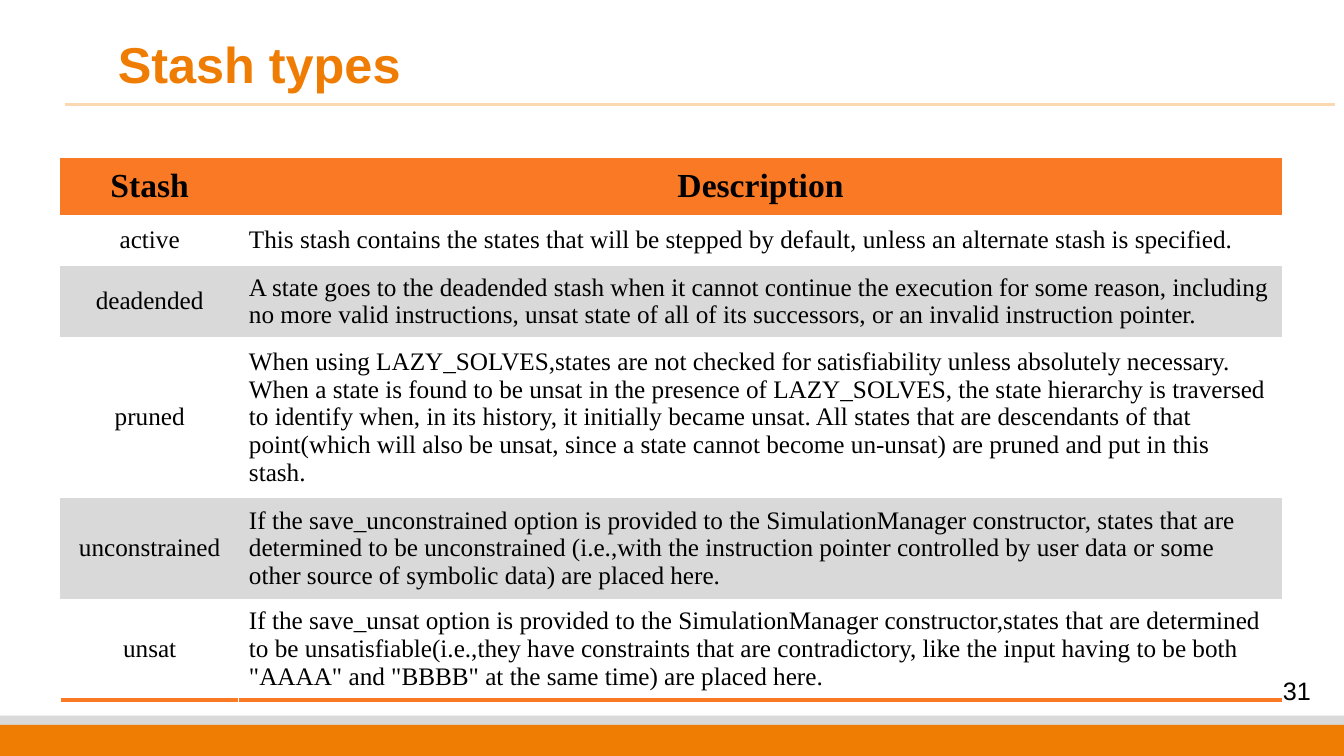
from lxml.etree import SubElement
from pptx import Presentation
from pptx.dml.color import RGBColor
from pptx.enum.shapes import MSO_CONNECTOR, MSO_SHAPE
from pptx.enum.text import MSO_ANCHOR, PP_ALIGN
from pptx.oxml import parse_xml
from pptx.oxml.ns import nsdecls, qn
from pptx.util import Inches, Pt

COLORS = {
    "orange": "EF7D03",
    "pale orange": "FAD8B2",
    "header": "FA7925",
    "gray": "D9D9D9",
    "white": "FFFFFF",
    "black": "000000",
}
COLUMNS, ROWS = 133.33, 75
NO_TABLE_STYLE = "{2D5ABB26-0587-4C30-8999-92F81FD0307C}"

STASHES = [
    ("Stash", "Description"),
    ("active", "This stash contains the states that will be stepped by default, "
     "unless an alternate stash is specified."),
    ("deadended", "A state goes to the deadended stash when it cannot continue the "
     "execution for some reason, including no more valid instructions, unsat state of "
     "all of its successors, or an invalid instruction pointer."),
    ("pruned", "When using LAZY_SOLVES,states are not checked for satisfiability unless "
     "absolutely necessary. When a state is found to be unsat in the presence of "
     "LAZY_SOLVES, the state hierarchy is traversed to identify when, in its history, it "
     "initially became unsat. All states that are descendants of that point(which will "
     "also be unsat, since a state cannot become un-unsat) are pruned and put in this "
     "stash."),
    ("unconstrained", "If the save_unconstrained option is provided to the "
     "SimulationManager constructor, states that are determined to be unconstrained "
     "(i.e.,with the instruction pointer controlled by user data or some other source of "
     "symbolic data) are placed here."),
    ("unsat", "If the save_unsat option is provided to the SimulationManager "
     "constructor,states that are determined to be unsatisfiable(i.e.,they have "
     "constraints that are contradictory, like the input having to be both \"AAAA\" and "
     "\"BBBB\" at the same time) are placed here."),
]


class SlideBuilder:
    """Draws on one slide; lengths are columns and rows of its grid."""

    def __init__(self, presentation):
        self.column = presentation.slide_width / COLUMNS
        self.row = presentation.slide_height / ROWS
        self.slide = presentation.slides.add_slide(presentation.slide_layouts[6])
        self.shapes = self.slide.shapes

    def place(self, left, top, width, height):
        """Turn grid lengths into slide units."""
        return (round(left * self.column), round(top * self.row),
                round(width * self.column), round(height * self.row))

    def color(self, name):
        return RGBColor.from_string(COLORS[name])

    def style(self, paragraph, font, size, color, bold=False, align=PP_ALIGN.LEFT):
        paragraph.alignment = align
        paragraph.font.name = font
        paragraph.font.size = Pt(size)
        paragraph.font.bold = bold
        paragraph.font.color.rgb = self.color(color)

    def band(self, top, height, color):
        """Draw a full-width bar."""
        shape = self.shapes.add_shape(
            MSO_SHAPE.RECTANGLE, *self.place(0, top, COLUMNS, height))
        shape.shadow.inherit = False
        shape.fill.solid()
        shape.fill.fore_color.rgb = self.color(color)
        shape.line.fill.background()

    def rule(self, left, right, top, color, width):
        """Draw a horizontal line."""
        ends = self.place(left, top, right, top)
        connector = self.shapes.add_connector(MSO_CONNECTOR.STRAIGHT, *ends)
        connector.line.color.rgb = self.color(color)
        connector.line.width = Pt(width)
        SubElement(connector.element.spPr, qn("a:effectLst"))

    def text(self, words, box, size, color, anchor=MSO_ANCHOR.TOP, spacing=1.0, **look):
        frame = self.shapes.add_textbox(*self.place(*box)).text_frame
        frame.word_wrap = True
        frame.vertical_anchor = anchor
        paragraph = frame.paragraphs[0]
        paragraph.text = words
        paragraph.line_spacing = spacing
        self.style(paragraph, "Arial", size, color, **look)

    def border(self, cell, sides):
        """Add borders given as (side, color, points), in the order L, R, T, B."""
        properties = cell._tc.get_or_add_tcPr()
        for index, (side, color, points) in enumerate(sides):
            properties.insert(index, parse_xml(
                f'<a:ln{side} {nsdecls("a")} w="{Pt(points)}"><a:solidFill>'
                f'<a:srgbClr val="{COLORS[color]}"/></a:solidFill></a:ln{side}>'))

    def table(self, entries, left, top, widths, heights):
        box = self.place(left, top, sum(widths), sum(heights))
        frame = self.shapes.add_table(len(entries), len(widths), *box)
        table = frame.table
        next(frame.element.iter(qn("a:tableStyleId"))).text = NO_TABLE_STYLE
        for column, width in zip(table.columns, widths):
            column.width = round(width * self.column)
        for row, height in zip(table.rows, heights):
            row.height = round(height * self.row)
        for row_index, entry in enumerate(entries):
            header = row_index == 0
            fill = "header" if header else "white" if row_index % 2 else "gray"
            for column_index, words in enumerate(entry):
                cell = table.cell(row_index, column_index)
                cell.text = words
                cell.vertical_anchor = MSO_ANCHOR.MIDDLE
                cell.fill.solid()
                cell.fill.fore_color.rgb = self.color(fill)
                centered = header or column_index == 0
                self.style(cell.text_frame.paragraphs[0], "Times New Roman",
                           24 if header else 18, "black", bold=header,
                           align=PP_ALIGN.CENTER if centered else PP_ALIGN.LEFT)
        for cell in table.rows[len(entries) - 1].cells:
            self.border(cell, [("L", "white", 1), ("R", "white", 1), ("B", "header", 3)])


def main():
    presentation = Presentation()
    presentation.slide_width = Inches(13.33)
    presentation.slide_height = Inches(7.5)
    builder = SlideBuilder(presentation)
    builder.band(71, 4, "gray")
    builder.band(71.9, 3.1, "orange")
    builder.rule(6.4, 132.4, 10.4, "pale orange", 2.25)
    builder.text("31", (124.1, 66.5, 9.1, 3.9), 18, "black",
                 anchor=MSO_ANCHOR.MIDDLE, align=PP_ALIGN.CENTER)
    builder.text("Stash types", (10.7, 3.5, 113.7, 4.8), 36, "orange",
                 spacing=0.9, bold=True)
    builder.table(STASHES, 6, 15.7, widths=(17.7, 103.5),
                  heights=(5.6, 5.1, 7, 14.8, 9.3, 9.3))
    presentation.save("out.pptx")


if __name__ == "__main__":
    main()
